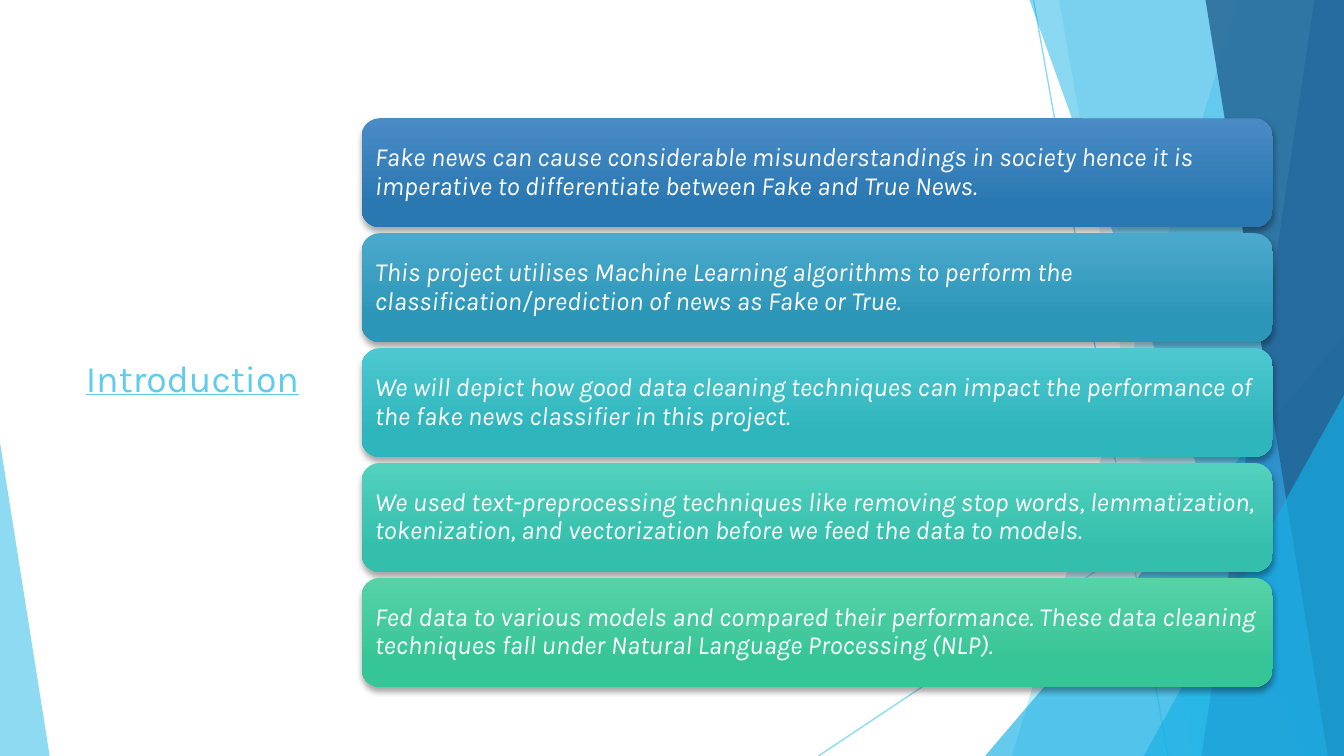
from typing import NamedTuple

import pptx
import pptx.dml.color
import pptx.enum.dml
import pptx.enum.shapes
import pptx.enum.text
import pptx.oxml
import pptx.oxml.ns
import pptx.util
from pptx.dml.color import RGBColor
from pptx.util import Inches

WIDE = 10
HIGH = WIDE * 9 / 16
FONT = "Karla"
WHITE = RGBColor(0xFF, 0xFF, 0xFF)
SKY = RGBColor(0x5F, 0xCB, 0xEF)
CYAN = RGBColor(0x17, 0xB0, 0xE4)
BLUE = RGBColor(0x2E, 0x83, 0xC3)
NAVY = RGBColor(0x22, 0x62, 0x92)

LEFT, TOP, LAST = 2.69, 0.88, 4.3
CARD_W, CARD_H = 6.78, 0.81


class Ray(NamedTuple):
    x1: float
    y1: float
    x2: float
    y2: float


class Panel(NamedTuple):
    """A full-height band from a slanted left edge to the right of the slide."""
    top: float
    base: float
    color: RGBColor
    alpha: int


class Wedge(NamedTuple):
    """A triangle standing on the bottom of the slide; peak is 0 left, 1 right."""
    left: float
    top: float
    width: float
    peak: float
    color: RGBColor
    alpha: int


class Card(NamedTuple):
    light: RGBColor
    dark: RGBColor
    text: str


RAYS = [Ray(7.69, 0, 8.69, HIGH), Ray(WIDE, 3.02, 6.09, HIGH)]

DECOR = [
    Panel(9.21, 7.53, SKY, 36),
    Panel(7.88, 8.87, SKY, 20),
    Wedge(7.33, 2.5, 2.67, 1, CYAN, 66),
    Panel(7.66, 9.68, CYAN, 50),
    Panel(9.78, 8.94, BLUE, 70),
    Panel(8.97, 9.88, NAVY, 80),
    Wedge(8.51, 2.94, 1.49, 1, CYAN, 66),
    Wedge(0, 3.29, 0.37, 0, SKY, 70),
]

CARDS = [
    Card(RGBColor(0x4A, 0x8B, 0xC6), RGBColor(0x2A, 0x78, 0xB2),
         "Fake news can cause considerable misunderstandings in society hence "
         "it is imperative to differentiate between Fake and True News."),
    Card(RGBColor(0x4B, 0xA9, 0xCC), RGBColor(0x2C, 0x96, 0xB8),
         "This project utilises Machine Learning algorithms to perform the "
         "classification/prediction of news as Fake or True."),
    Card(RGBColor(0x4D, 0xC8, 0xD0), RGBColor(0x2F, 0xB5, 0xBC),
         "We will depict how good data cleaning techniques can impact the "
         "performance of the fake news classifier in this project."),
    Card(RGBColor(0x52, 0xD1, 0xBE), RGBColor(0x34, 0xBF, 0xAC),
         "We used text-preprocessing techniques like removing stop words, "
         "lemmatization, tokenization, and vectorization before we feed the "
         "data to models."),
    Card(RGBColor(0x56, 0xD2, 0xA7), RGBColor(0x36, 0xC5, 0x96),
         "Fed data to various models and compared their performance. These "
         "data cleaning techniques fall under Natural Language Processing "
         "(NLP)."),
]
STEP = (LAST - TOP) / (len(CARDS) - 1)


def fade(fill, color: RGBColor, alpha: int) -> None:
    """Make a fill solid, with alpha as its opacity in percent."""
    fill.solid()
    fill.fore_color.rgb = color
    tint = fill._xPr.find(".//" + pptx.oxml.ns.qn("a:srgbClr"))
    tint.append(pptx.oxml.parse_xml(
        f'<a:alpha {pptx.oxml.ns.nsdecls("a")} val="{alpha * 1000}"/>'))


def draw_ray(slide, ray: Ray) -> None:
    line = slide.shapes.add_connector(
        pptx.enum.shapes.MSO_CONNECTOR.STRAIGHT, *map(Inches, ray))
    line.line.width = pptx.util.Pt(0.75)
    fade(line.line.fill, SKY, 70)
    line._element.spPr.append(pptx.oxml.parse_xml(
        f'<a:effectLst {pptx.oxml.ns.nsdecls("a")}/>'))


def draw_decor(slide, item: Panel | Wedge) -> None:
    if isinstance(item, Panel):
        pen = slide.shapes.build_freeform(Inches(item.top), 0)
        pen.add_line_segments([
            (Inches(WIDE), 0), (Inches(WIDE), Inches(HIGH)),
            (Inches(item.base), Inches(HIGH))])
        shape = pen.convert_to_shape()
    else:
        shape = slide.shapes.add_shape(
            pptx.enum.shapes.MSO_SHAPE.ISOSCELES_TRIANGLE,
            Inches(item.left), Inches(item.top),
            Inches(item.width), Inches(HIGH - item.top))
        shape.adjustments[0] = item.peak
    shape.shadow.inherit = False
    shape.line.fill.background()
    fade(shape.fill, item.color, item.alpha)


def write(shape, text: str, size: int, color: RGBColor):
    """Fill a shape with one left-aligned run and return that run's font."""
    frame = shape.text_frame
    frame.word_wrap = True
    frame.vertical_anchor = pptx.enum.text.MSO_ANCHOR.MIDDLE
    para = frame.paragraphs[0]
    para.alignment = pptx.enum.text.PP_ALIGN.LEFT
    run = para.add_run()
    run.text = text
    run.font.name = FONT
    run.font.size = pptx.util.Pt(size)
    run.font.color.rgb = color
    return run.font


def draw_card(slide, card: Card, top: float) -> None:
    shape = slide.shapes.add_shape(
        pptx.enum.shapes.MSO_SHAPE.ROUNDED_RECTANGLE,
        Inches(LEFT), Inches(top), Inches(CARD_W), Inches(CARD_H))
    shape.line.fill.background()
    shape.fill.gradient()
    shape.fill.gradient_angle = 270
    first, last = shape.fill.gradient_stops
    first.position, first.color.rgb = 0, card.light
    last.position, last.color.rgb = 0.78, card.dark
    shape.shadow.inherit = False
    glow = shape._element.spPr.find(pptx.oxml.ns.qn("a:effectLst"))
    glow.append(pptx.oxml.parse_xml(
        f'<a:outerShdw {pptx.oxml.ns.nsdecls("a")} blurRad="38100" '
        'dist="25400" dir="5400000" rotWithShape="0">'
        '<a:srgbClr val="000000"><a:alpha val="35000"/></a:srgbClr>'
        '</a:outerShdw>'))
    frame = shape.text_frame
    frame.margin_left = frame.margin_right = Inches(0.06)
    frame.margin_top = frame.margin_bottom = Inches(0.06)
    write(shape, card.text, 14, WHITE).italic = True
    frame.paragraphs[0].line_spacing = 0.9


def main() -> None:
    deck = pptx.Presentation()
    deck.slide_width, deck.slide_height = Inches(WIDE), Inches(HIGH)
    slide = deck.slides.add_slide(deck.slide_layouts[6])
    for ray in RAYS:
        draw_ray(slide, ray)
    for item in DECOR:
        draw_decor(slide, item)
    title = slide.shapes.add_textbox(
        Inches(0.54), Inches(1.13), Inches(1.9), Inches(3.36))
    write(title, "Introduction", 20, SKY).underline = True
    for row, card in enumerate(CARDS):
        draw_card(slide, card, TOP + row * STEP)
    deck.save("out.pptx")


if __name__ == "__main__":
    main()
